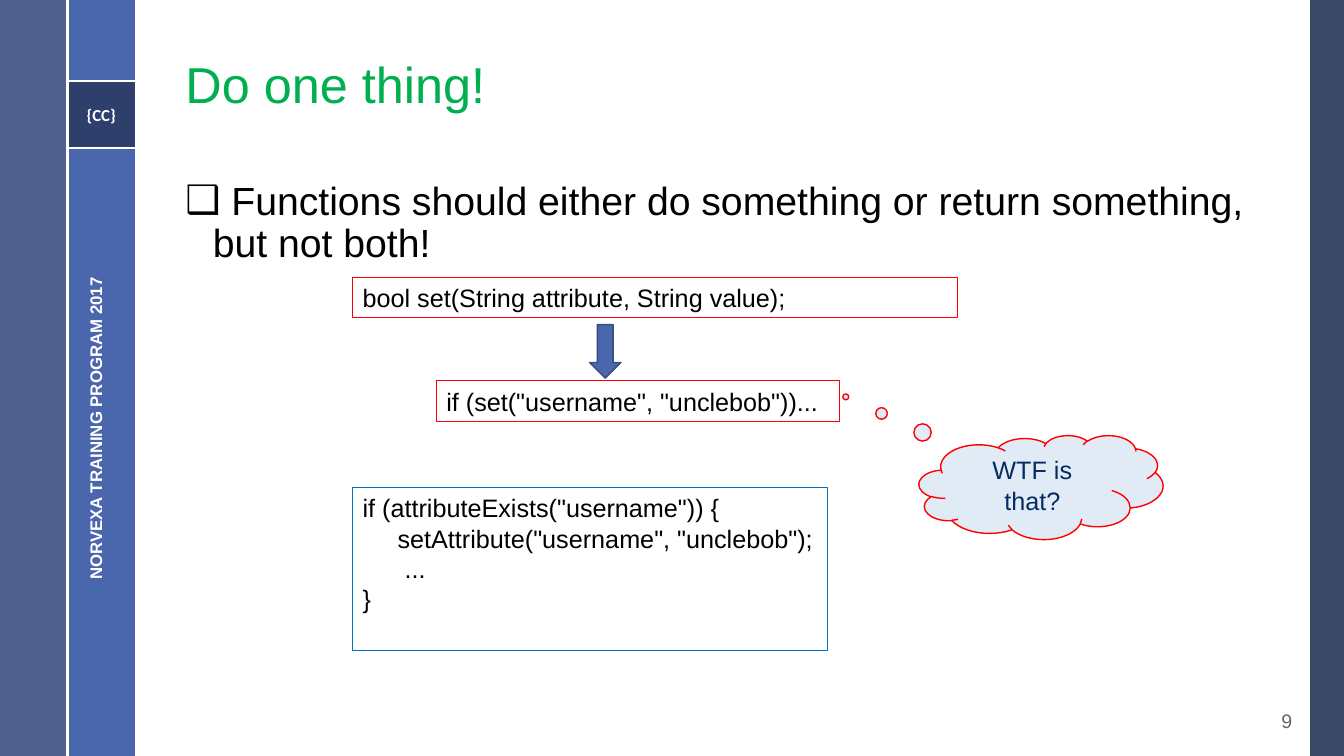
from pptx import Presentation
from pptx.util import Cm, Pt
from pptx.dml.color import RGBColor as Rgb
from pptx.enum.shapes import MSO_SHAPE as Kind, MSO_CONNECTOR as Link
from pptx.enum.text import PP_ALIGN as Align, MSO_ANCHOR as Anchor, MSO_AUTO_SIZE as Fit
from pptx.oxml.ns import qn
from lxml.etree import SubElement as Sub

COLORS = {
    "navy": "253356", "blue": "4A66AC", "slate": "384C81", "edge": "374B7F",
    "white": "FFFFFF", "black": "000000", "green": "00B050", "gray": "666666",
    "red": "FF0000", "azure": "0070C0", "pale": "E0EBF6", "ink": "072C62",
}


class Deck:
    def __init__(self, wide, high):
        self.prs = Presentation()
        self.prs.slide_width, self.prs.slide_height = Cm(wide), Cm(high)
        self.font = "Arial"

    def add(self):
        self.slide = self.prs.slides.add_slide(self.prs.slide_layouts[1])
        self.shapes = self.slide.shapes

    def color(self, name):
        return Rgb.from_string(COLORS[name])

    def words(self, shape, text, size, color, align=Align.LEFT, anchor=Anchor.TOP,
              bold=False, font=None, wrap=True):
        frame = shape.text_frame
        frame.text = text
        frame.word_wrap = wrap
        frame.auto_size = Fit.NONE
        frame.vertical_anchor = anchor
        for para in frame.paragraphs:
            para.alignment = align
            for run in para.runs:
                run.font.name = font or self.font
                run.font.size = Pt(size)
                run.font.bold = bold
                run.font.color.rgb = self.color(color)
        return frame.paragraphs

    def place(self, shape, box):
        shape.left, shape.top, shape.width, shape.height = map(Cm, box)

    def title(self, box, text):
        self.place(self.shapes.title, box)
        para = self.words(self.shapes.title, text, 36, "green", anchor=Anchor.MIDDLE)[0]
        para.line_spacing = 0.9

    def body(self, box, text, mark):
        holder = self.slide.placeholders[1]
        self.place(holder, box)
        para = self.words(holder, text, 28, "black")[0]
        para.line_spacing, para.space_before = 0.9, Pt(14)
        self.indent(para, 0.69, -0.69)
        Sub(para._p.get_or_add_pPr(), qn("a:buFont"), typeface=self.font)
        Sub(para._p.get_or_add_pPr(), qn("a:buChar"), char=mark)

    def indent(self, para, left, first=0):
        props = para._p.get_or_add_pPr()
        props.set("marL", str(Cm(left)))
        props.set("indent", str(Cm(first)))

    def shape(self, kind, box, fill=None, line=None, width=1, alpha=None):
        shape = self.shapes.add_shape(kind, *map(Cm, box))
        shape.shadow.inherit = False
        if fill:
            shape.fill.solid()
            shape.fill.fore_color.rgb = self.color(fill)
        else:
            shape.fill.background()
        if line:
            shape.line.color.rgb = self.color(line)
            shape.line.width = Pt(width)
        else:
            shape.line.fill.background()
        if alpha:
            tint = shape._element.spPr.find(qn("a:solidFill"))[0]
            Sub(tint, qn("a:alpha"), val=str(alpha * 1000))
        return shape

    def rule(self, *ends):
        line = self.shapes.add_connector(Link.STRAIGHT, *map(Cm, ends))
        line.line.color.rgb = self.color("white")
        line.line.width = Pt(1.5)
        Sub(line._element.spPr, qn("a:effectLst"))

    def label(self, box, text, size, color, align, turn=0, **style):
        area = self.shapes.add_textbox(*map(Cm, box))
        area.rotation = turn
        self.words(area, text, size, color, align, **style)

    def code(self, box, text, line, wrap=False):
        frame = self.shape(Kind.RECTANGLE, box, line=line, width=0.75)
        return self.words(frame, text, 18, "black", wrap=wrap)


WIDE, HIGH, BAND = 33.87, 19.05, 1.7
deck = Deck(WIDE, HIGH)
deck.add()

for left, width, fill, alpha in [(33.02, 0.85, "navy", 90), (BAND, BAND, "blue", None),
                                 (0, BAND, "slate", 88)]:
    deck.shape(Kind.RECTANGLE, (left, 0, width, HIGH), fill, alpha=alpha)
top, low = 2.05, 3.74
badge = deck.shape(Kind.RECTANGLE, (BAND, top, BAND, low - top), "navy", alpha=75)
deck.words(badge, "{CC}", 12, "white", Align.CENTER, Anchor.MIDDLE, True, "Calibri")
for level in (top, low):
    deck.rule(BAND, level, 2 * BAND, level)
deck.rule(BAND, 0, BAND, HIGH)

deck.title((4.42, 0.48, 27.18, 3.45), "Do one thing!")
deck.body((4.42, 4.45, 27.18, 12.7),
          " Functions should either do something or return something, but not both!", "❑")
deck.label((-3.12, 10.29, 11.05, 1.02), "NORVEXA TRAINING PROGRAM 2017", 12, "white",
           Align.CENTER, 270, anchor=Anchor.MIDDLE, bold=True)
deck.label((31.12, 17.65, 1.7, 1.02), "9", 14, "gray", Align.RIGHT, anchor=Anchor.MIDDLE)

deck.code((8.89, 6.99, 15.24, 1.02), "bool set(String attribute, String value);", "red", True)
deck.code((11, 9.6, 10.16, 1.02), 'if (set("username", "unclebob"))...', "red", True)
lines = deck.code((8.89, 12.29, 11.96, 4.11),
                  'if (attributeExists("username")) {\n'
                  'setAttribute("username", "unclebob");\n...\n}', "azure", True)
deck.indent(lines[1], 0.88)
deck.indent(lines[2], 1.06)

deck.shape(Kind.DOWN_ARROW, (14.86, 8.18, 0.79, 1.35), "blue", "edge")
cloud = deck.shape(Kind.CLOUD_CALLOUT, (23.16, 10.97, 6.15, 2.62), "pale", "red")
cloud.adjustments[0], cloud.adjustments[1] = -0.8, -0.87
deck.words(cloud, "WTF is that?", 18, "ink", Align.CENTER, Anchor.MIDDLE)

deck.prs.save("out.pptx")
